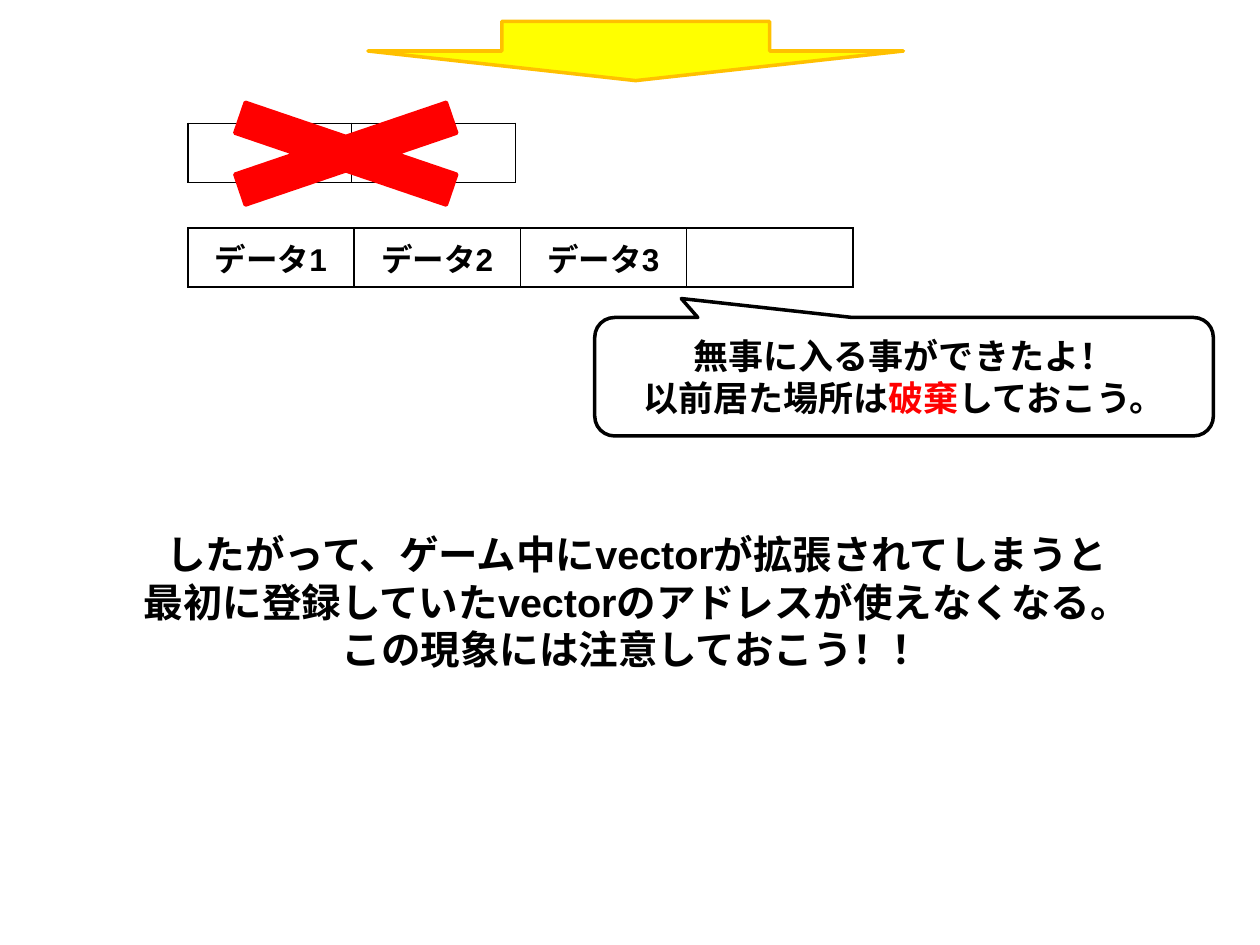
from pptx import Presentation
from pptx import util as u
from pptx.dml import color
from pptx.enum import shapes, text
from pptx.oxml import ns
from lxml import etree

BLACK, WHITE, RED = "000000", "FFFFFF", "FF0000"


def rgb(value):
    return color.RGBColor.from_string(value)


def style_font(font, name, size):
    font.name = name
    font.size = u.Pt(size)
    font.bold = True
    font.color.rgb = rgb(BLACK)


def add_border(cell):
    properties = cell._tc.get_or_add_tcPr()
    for index, side in enumerate(("lnL", "lnR", "lnT", "lnB")):
        line = etree.Element(ns.qn(f"a:{side}"), w=str(u.Pt(1)))
        fill = etree.SubElement(line, ns.qn("a:solidFill"))
        etree.SubElement(fill, ns.qn("a:srgbClr"), val=BLACK)
        properties.insert(index, line)


def add_memory_row(slide, top, cell_width, labels):
    frame = slide.shapes.add_table(
        1, len(labels), u.Inches(1.49), u.Inches(top),
        u.Inches(cell_width * len(labels)), u.Inches(0.47))
    table = frame.table
    table.first_row = False
    table.horz_banding = False
    for index, label in enumerate(labels):
        table.columns[index].width = u.Inches(cell_width)
        cell = table.cell(0, index)
        cell.fill.background()
        add_border(cell)
        cell.vertical_anchor = text.MSO_ANCHOR.MIDDLE
        paragraph = cell.text_frame.paragraphs[0]
        paragraph.text = label
        paragraph.alignment = text.PP_ALIGN.CENTER
        style_font(paragraph.font, "Arial", 18)


def add_shape(slide, kind, left, top, width, height, fill, line):
    shape = slide.shapes.add_shape(
        kind, u.Inches(left), u.Inches(top), u.Inches(width), u.Inches(height))
    shape.shadow.inherit = False
    shape.fill.solid()
    shape.fill.fore_color.rgb = rgb(fill)
    shape.line.color.rgb = rgb(line)
    shape.line.width = u.Pt(2)
    return shape


def add_callout(slide):
    shape = add_shape(slide, shapes.MSO_SHAPE.ROUNDED_RECTANGULAR_CALLOUT,
                      4.72, 2.52, 4.91, 0.94, WHITE, BLACK)
    shape.adjustments[0] = -0.36
    shape.adjustments[1] = -0.66
    shape.text_frame.vertical_anchor = text.MSO_ANCHOR.MIDDLE
    paragraph = shape.text_frame.paragraphs[0]
    paragraph.alignment = text.PP_ALIGN.CENTER
    paragraph.text = "無事に入る事ができたよ！\v以前居た場所は"
    for content in ("破棄", "しておこう。"):
        paragraph.add_run().text = content
    for run in paragraph.runs:
        style_font(run.font, "Noto Sans CJK JP", 20)
        if run.text == "破棄":
            run.font.color.rgb = rgb(RED)


def add_conclusion(slide):
    box = slide.shapes.add_textbox(
        u.Inches(0.84), u.Inches(4.16), u.Inches(8.43), u.Inches(1.24))
    box.text_frame.word_wrap = True
    paragraph = box.text_frame.paragraphs[0]
    paragraph.text = ("したがって、ゲーム中にvectorが拡張されてしまうと\v"
                      "最初に登録していたvectorのアドレスが使えなくなる。\v"
                      "この現象には注意しておこう！！")
    paragraph.alignment = text.PP_ALIGN.CENTER
    style_font(paragraph.font, "Arial", 22.6)


def main():
    presentation = Presentation()
    presentation.slide_width = u.Inches(10)
    presentation.slide_height = u.Inches(7.5)
    slide = presentation.slides.add_slide(presentation.slide_layouts[6])

    add_memory_row(slide, 0.98, 1.3, ["", ""])
    add_memory_row(slide, 1.81, 1.32, ["データ1", "データ2", "データ3", ""])
    add_callout(slide)
    add_shape(slide, shapes.MSO_SHAPE.MATH_MULTIPLY,
              1.13, 0.67, 3.23, 1.1, RED, RED)
    add_conclusion(slide)
    add_shape(slide, shapes.MSO_SHAPE.DOWN_ARROW,
              2.92, 0.17, 4.25, 0.47, "FFFF00", "FFC000")
    presentation.save("out.pptx")


if __name__ == "__main__":
    main()
